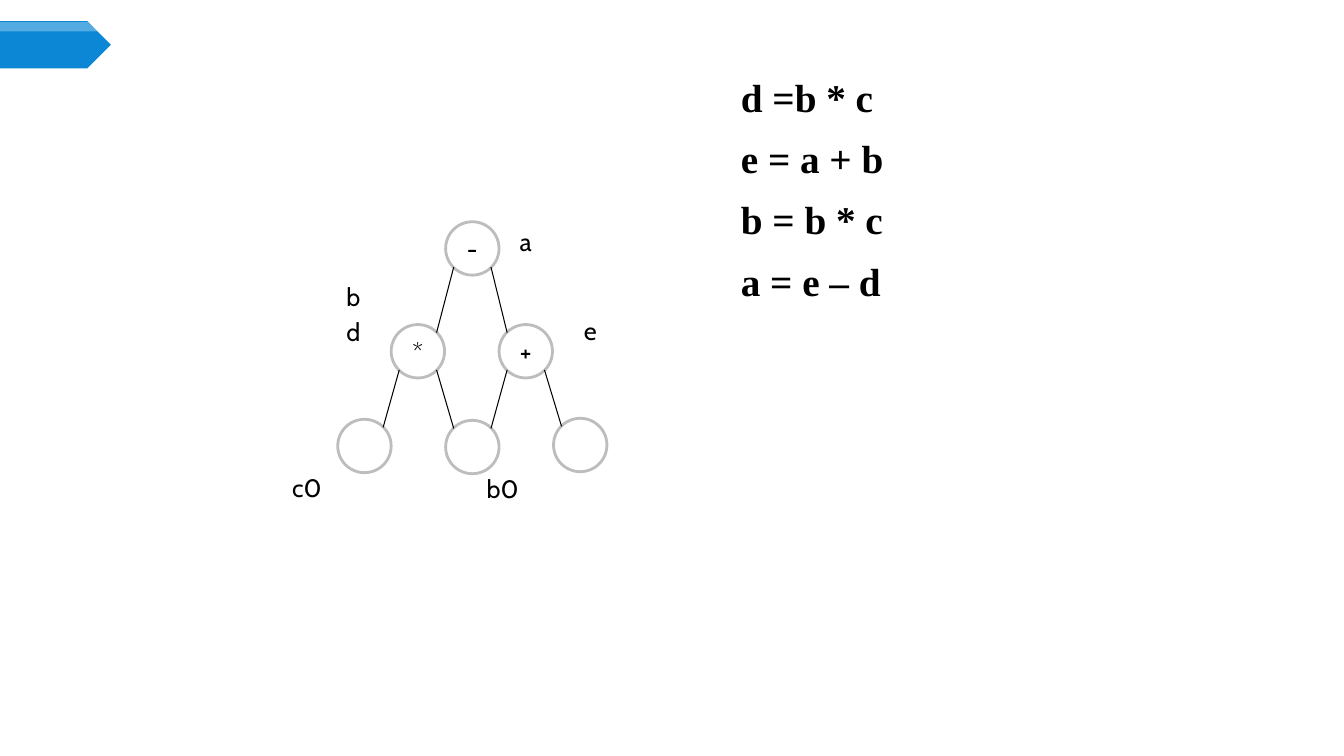
from pptx import Presentation
from pptx import util as u
from pptx.dml import color
from pptx.enum import shapes, text
from pptx.oxml import parse_xml
from pptx.oxml.ns import nsdecls, qn
from lxml import etree


def rgb(value):
    return color.RGBColor.from_string(value)


class Deck:
    INK, RING, WHITE, BLUE = "000000", "BDBDBD", "FFFFFF", "0B87D6"
    LABEL_FONT, CODE_FONT = "Cabin", "Times New Roman"
    SIZE = 0.53  # node diameter and label width

    def __init__(self, slide):
        self.s = slide

    def paint(self, sp, fill, line=None):
        sp.shadow.inherit = False
        sp.fill.solid()
        sp.fill.fore_color.rgb = rgb(fill)
        if line:
            sp.line.color.rgb = rgb(line)
            sp.line.width = u.Pt(2)
        else:
            sp.line.fill.background()

    def font(self, p, name, size, bold=False):
        p.font.name, p.font.size, p.font.bold = name, u.Pt(size), bold
        p.font.color.rgb = rgb(self.INK)

    def label_text(self, sp, label):
        tf = sp.text_frame
        tf.word_wrap = True
        tf.margin_left = tf.margin_right = 0
        p = tf.paragraphs[0]
        p.text = label
        p.alignment = text.PP_ALIGN.CENTER
        self.font(p, self.LABEL_FONT, 18)

    def banner(self):
        sp = self.s.shapes.add_shape(
            shapes.MSO_SHAPE.PENTAGON, 0, u.Inches(0.21), u.Inches(1.1), u.Inches(0.47))
        self.paint(sp, self.BLUE)
        # Translucent highlight along the top edge
        outline = [(u.Inches(x), u.Inches(y))
                   for x, y in [(0, 0.22), (0.87, 0.22), (0.97, 0.31), (0, 0.31)]]
        builder = self.s.shapes.build_freeform(*outline[0])
        builder.add_line_segments(outline[1:])
        sp = builder.convert_to_shape()
        self.paint(sp, self.WHITE)
        srgb = next(sp.fill._xPr.iter(qn("a:srgbClr")))
        etree.SubElement(srgb, qn("a:alpha")).set("val", "30000")

    def node(self, x, y, label):
        sp = self.s.shapes.add_shape(
            shapes.MSO_SHAPE.OVAL, u.Inches(x), u.Inches(y),
            u.Inches(self.SIZE), u.Inches(self.SIZE))
        self.paint(sp, self.WHITE, self.RING)
        if label:
            sp.text_frame.vertical_anchor = text.MSO_ANCHOR.MIDDLE
            self.label_text(sp, label)

    def label(self, x, y, label):
        sp = self.s.shapes.add_textbox(
            u.Inches(x), u.Inches(y), u.Inches(self.SIZE), u.Inches(0.4))
        self.label_text(sp, label)

    def edge(self, parent, child):
        """Join the facing diagonal points of two node circles."""
        near, far = 0.08, self.SIZE - 0.08
        start, end = (near, far) if child[0] < parent[0] else (far, near)
        cxn = self.s.shapes.add_connector(
            shapes.MSO_CONNECTOR.STRAIGHT,
            u.Inches(parent[0] + start), u.Inches(parent[1] + far),
            u.Inches(child[0] + end), u.Inches(child[1] + near))
        cxn.line.color.rgb = rgb(self.INK)
        cxn.line.width = u.Pt(0.75)
        cxn._element.spPr.append(parse_xml(f"<a:effectLst {nsdecls('a')}/>"))

    def code(self, lines):
        sp = self.s.shapes.add_textbox(
            u.Inches(6.25), u.Inches(0.62), u.Inches(6.67), u.Inches(2.52))
        tf = sp.text_frame
        tf.word_wrap = True
        for i, line in enumerate(lines):
            p = tf.add_paragraph() if i else tf.paragraphs[0]
            p.text = line
            pPr = p._p.get_or_add_pPr()
            pPr.set("marL", str(u.Inches(1)))
            pPr.set("indent", "0")
            p.line_spacing = u.Pt(38)
            if i:
                p.space_before = u.Pt(5.6)
            self.font(p, self.CODE_FONT, 28, bold=True)


NODES = {  # name: (left, top, operator)
    "times": (3.88, 3.22, "*"),
    "c0": (3.35, 4.16, ""),
    "b0": (4.42, 4.17, ""),
    "plus": (4.95, 3.22, "+"),
    "leaf": (5.49, 4.15, ""),
    "minus": (4.42, 2.2, "-"),
}
EDGES = [("times", "c0"), ("times", "b0"), ("plus", "b0"),
         ("plus", "leaf"), ("minus", "times"), ("minus", "plus")]
LABELS = [(4.95, 2.2, "a"), (4.72, 4.65, "b0"), (2.78, 4.64, "c0"),
          (5.59, 3.08, "e"), (3.24, 3.09, "d"), (3.24, 2.74, "b")]


def main():
    prs = Presentation()
    prs.slide_width, prs.slide_height = u.Inches(13.33), u.Inches(7.5)
    deck = Deck(prs.slides.add_slide(prs.slide_layouts[6]))

    # Corner banner
    deck.banner()

    # Expression graph
    for node in NODES.values():
        deck.node(*node)
    for label in LABELS:
        deck.label(*label)
    for parent, child in EDGES:
        deck.edge(NODES[parent], NODES[child])

    # Three-address code
    deck.code(["d =b * c", "e = a + b", "b = b * c", "a = e – d"])

    prs.save("out.pptx")


if __name__ == "__main__":
    main()
